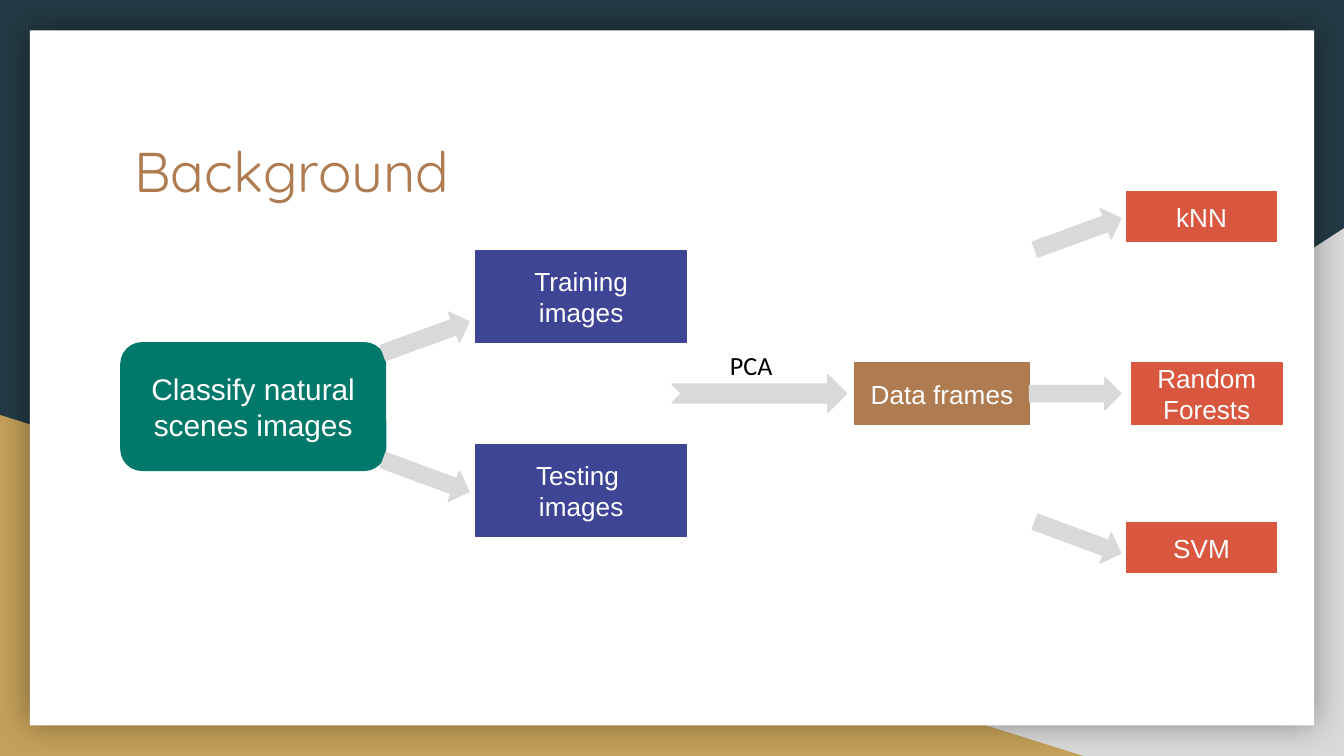
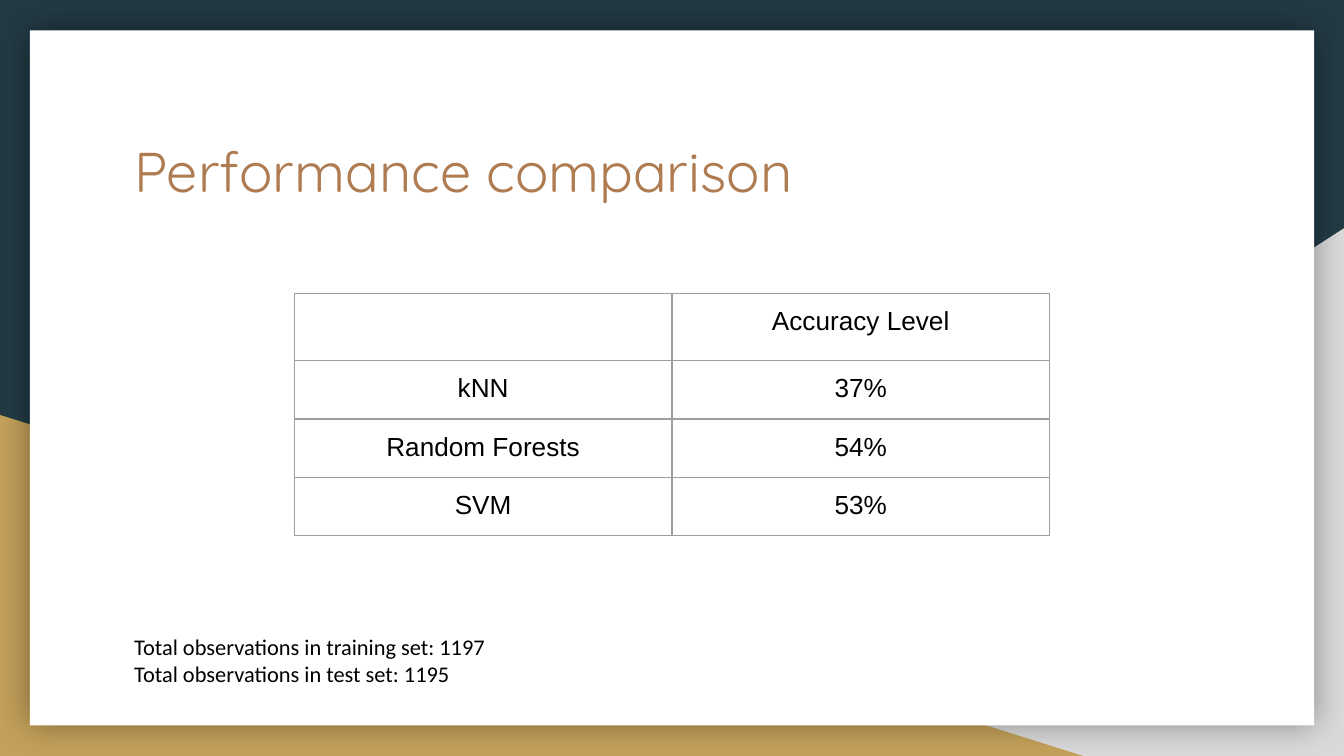
from lxml import etree
from pptx import Presentation
from pptx.dml.color import RGBColor
from pptx.enum.shapes import MSO_SHAPE as Preset
from pptx.enum.text import MSO_ANCHOR as Anchor, PP_ALIGN as Align
from pptx.oxml.ns import qn
from pptx.util import Pt

NAVY = RGBColor(0x23, 0x3A, 0x44)
GREY = RGBColor(0xD9, 0xD9, 0xD9)
GOLD = RGBColor(0xC4, 0xA1, 0x5A)
WHITE = RGBColor(0xFF, 0xFF, 0xFF)
BLACK = RGBColor(0x00, 0x00, 0x00)
BROWN = RGBColor(0xAF, 0x7B, 0x51)
TEAL = RGBColor(0x00, 0x79, 0x6B)
INDIGO = RGBColor(0x3D, 0x45, 0x94)
RED = RGBColor(0xD9, 0x56, 0x3F)
BORDER = RGBColor(0x9E, 0x9E, 0x9E)

WIDTH, HEIGHT = 720, 405
MARGIN = 64.8
INSET = Pt(7.2)
LINE_WIDTH = Pt(0.75)


def write_text(frame, text, *, size=14, font="Arial", color=BLACK,
               align=Align.CENTER):
    """Fill a text frame, one paragraph for each line of text."""
    for index, line in enumerate(text.split("\n")):
        para = frame.paragraphs[0] if index == 0 else frame.add_paragraph()
        para.alignment = align
        span = para.add_run()
        span.text = line
        span.font.size = Pt(size)
        span.font.name = font
        span.font.color.rgb = color


def set_frame(frame, anchor):
    frame.word_wrap = True
    frame.vertical_anchor = anchor
    frame.margin_left = frame.margin_right = INSET
    frame.margin_top = frame.margin_bottom = INSET


def add_label(page, text, left, top, width, height, **style):
    box = page.shapes.add_textbox(Pt(left), Pt(top), Pt(width), Pt(height))
    set_frame(box.text_frame, Anchor.TOP)
    write_text(box.text_frame, text, **style)


def add_preset(page, preset, left, top, width, height, color, outlined=True):
    shape = page.shapes.add_shape(preset, Pt(left), Pt(top), Pt(width), Pt(height))
    shape.fill.solid()
    shape.fill.fore_color.rgb = color
    if outlined:
        shape.line.color.rgb = color
        shape.line.width = LINE_WIDTH
    else:
        shape.line.fill.background()
    shape.shadow.inherit = False
    return shape


def add_step(page, text, left, top, width, height, color,
             preset=Preset.RECTANGLE, size=14):
    """Add a filled flow chart box with white text."""
    step = add_preset(page, preset, left, top, width, height, color)
    set_frame(step.text_frame, Anchor.MIDDLE)
    write_text(step.text_frame, text, size=size, color=WHITE)


def add_turned_arrow(page, left, top, angle):
    arrow = add_preset(page, Preset.DOWN_ARROW, left, top, 17.3, 49, GREY)
    arrow.rotation = angle


def add_glow(shape):
    """Give the shape a soft black shadow on all sides."""
    effects = shape.element.spPr.find(qn("a:effectLst"))
    shadow = etree.SubElement(effects, qn("a:outerShdw"),
                              blurRad=str(Pt(18)), dist="0", algn="ctr")
    color = etree.SubElement(shadow, qn("a:srgbClr"), val=str(BLACK))
    etree.SubElement(color, qn("a:alpha"), val="40000")


def add_page(deck, title):
    """Add a slide with the coloured backdrop, white card and title."""
    page = deck.slides.add_slide(deck.slide_layouts[6])
    page.background.fill.solid()
    page.background.fill.fore_color.rgb = NAVY
    right_wedge = add_preset(page, Preset.RIGHT_TRIANGLE, 282.2, 122.3,
                             WIDTH - 282.2, HEIGHT - 122.3, GREY, outlined=False)
    right_wedge.element.spPr.find(qn("a:xfrm")).set("flipH", "1")
    add_preset(page, Preset.RIGHT_TRIANGLE, 0, 222.3, 580.3, HEIGHT - 222.3,
               GOLD, outlined=False)
    card = add_preset(page, Preset.RECTANGLE, 16, 16.2, WIDTH - 32, 372.4,
                      WHITE, outlined=False)
    add_glow(card)
    add_label(page, title, MARGIN, 66.2, 591, 75, size=30, font="Quicksand",
              color=BROWN, align=Align.LEFT)
    return page


def set_borders(cell):
    props = cell._tc.get_or_add_tcPr()
    for position, side in enumerate(("a:lnL", "a:lnR", "a:lnT", "a:lnB")):
        line = etree.Element(qn(side), w=str(LINE_WIDTH))
        fill = etree.SubElement(line, qn("a:solidFill"))
        etree.SubElement(fill, qn("a:srgbClr"), val=str(BORDER))
        props.insert(position, line)


def add_grid(page, rows, left, top, column_width, row_heights):
    """Add a plain bordered table with centred text."""
    columns = len(rows[0])
    table = page.shapes.add_table(
        len(rows), columns, Pt(left), Pt(top),
        Pt(column_width * columns), Pt(sum(row_heights))).table
    table.first_row = table.horz_banding = False
    for column in table.columns:
        column.width = Pt(column_width)
    for row, height, values in zip(table.rows, row_heights, rows):
        row.height = Pt(height)
        for cell, value in zip(row.cells, values):
            cell.margin_left = cell.margin_right = INSET
            cell.margin_top = cell.margin_bottom = INSET
            cell.fill.background()
            set_borders(cell)
            if value:
                write_text(cell.text_frame, value)


def build_background(deck):
    page = add_page(deck, "Background")
    add_step(page, "Classify natural scenes images", MARGIN, 183.6, 141.8, 68.4,
             TEAL, preset=Preset.ROUNDED_RECTANGLE, size=16)
    add_turned_arrow(page, 219.6, 156.2, 250)
    add_turned_arrow(page, 219.6, 230.4, 290.3)
    for text, top in (("Training images", 134.5), ("Testing \nimages", 238.3)):
        add_step(page, text, 254.9, top, 113, 49, INDIGO)

    add_preset(page, Preset.NOTCHED_RIGHT_ARROW, 360, 200.7, 93.6, 20.2, GREY)
    add_label(page, "PCA", 365, 180, 74.9, 20.2, font="Calibri")
    add_step(page, "Data frames", 457.9, 194.4, 93.6, 33.1, BROWN)

    add_turned_arrow(page, 568.8, 100.8, 250)
    add_turned_arrow(page, 568.8, 263.5, 290.3)
    add_turned_arrow(page, 567.4, 186.4, 270)
    for text, left, top, height in (("kNN", 603.4, 102.9, 26.7),
                                    ("Random Forests", 606.2, 194.4, 33.1),
                                    ("SVM", 603.4, 280.1, 26.7)):
        add_step(page, text, left, top, 80.6, height, RED)


def build_comparison(deck):
    page = add_page(deck, "Performance comparison")
    rows = (("", "Accuracy Level"),
            ("kNN", "37%"),
            ("Random Forests", "54%"),
            ("SVM", "53%"))
    add_grid(page, rows, 157.7, 157.2, 202.3, (34.7, 30, 30, 30))
    add_label(page, "Total observations in training set: 1197\n"
              "Total observations in test set: 1195",
              MARGIN, 331.9, 216, 41, size=12, font="Calibri", align=Align.LEFT)


def main():
    deck = Presentation()
    deck.slide_width, deck.slide_height = Pt(WIDTH), Pt(HEIGHT)
    build_background(deck)
    build_comparison(deck)
    deck.save("out.pptx")


if __name__ == "__main__":
    main()
